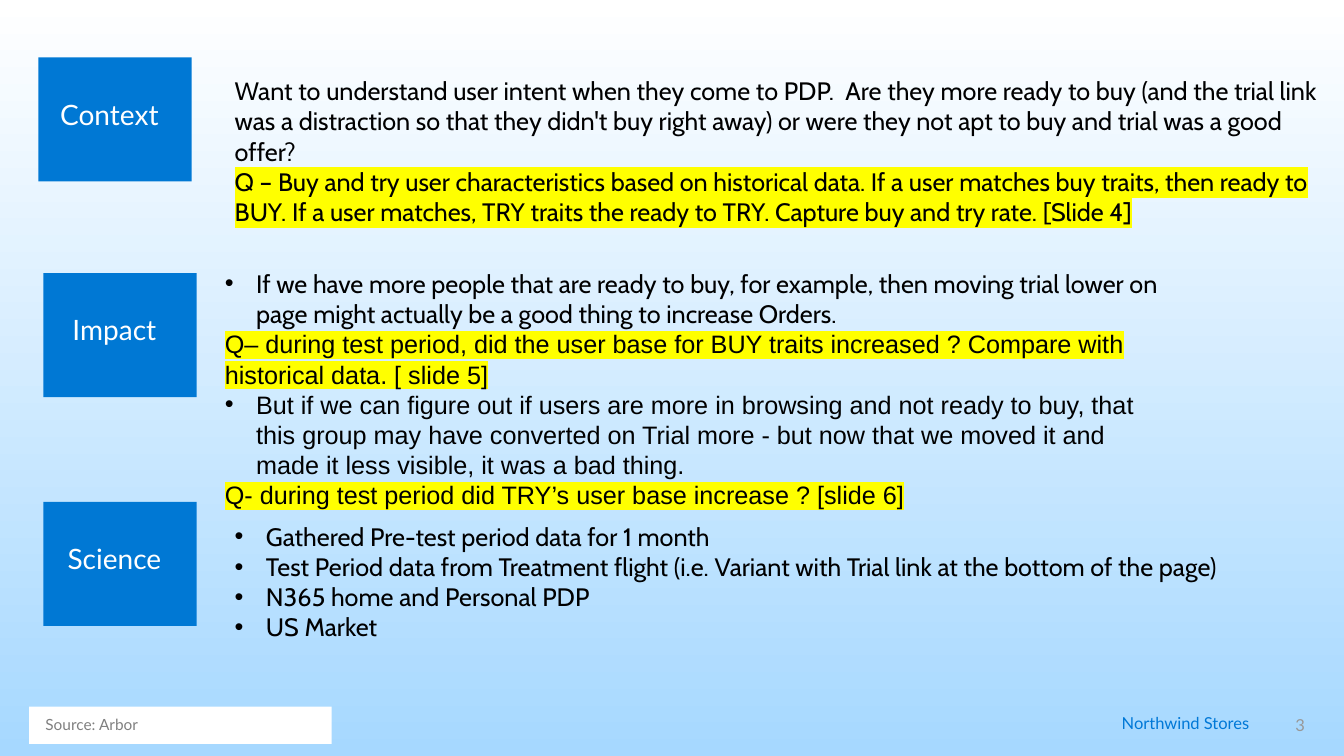
"""Build the Context, Impact and Science slide."""
from dataclasses import dataclass

from lxml import etree
from pptx import Presentation
from pptx.dml.color import RGBColor
from pptx.enum.shapes import MSO_SHAPE
from pptx.enum.text import MSO_ANCHOR, PP_ALIGN
from pptx.oxml.ns import qn
from pptx.util import Inches, Pt

LEFT, CENTER, RIGHT = PP_ALIGN.LEFT, PP_ALIGN.CENTER, PP_ALIGN.RIGHT
TOP, MIDDLE = MSO_ANCHOR.TOP, MSO_ANCHOR.MIDDLE
RECTANGLE = MSO_SHAPE.RECTANGLE


@dataclass(frozen=True)
class Theme:
    tile: str = "0078D4"
    brand: str = "0078D7"
    white: str = "FFFFFF"
    black: str = "000000"
    sky: str = "A6D8FF"
    grey: str = "808080"
    pale_grey: str = "989898"
    marker: str = "FFFF00"
    label_font: str = "Lato"
    body_font: str = "Cabin"
    alternate_font: str = "Arial"
    label_size: float = 20
    body_size: float = 18
    footer_size: float = 11.8
    source_size: float = 11


THEME = Theme()
BULLET, QUESTION = {"bullet": True}, {"highlight": THEME.marker}
ARIAL = {"font": THEME.alternate_font}

TILE_SIZE = (1.52, 1.23)
LABEL_SIZE = (1.61, 0.63)
LABEL_MARGINS = (0.2, 0.16)
LABEL_SHIFT = (-0.1, 0.28)
DEFAULT_MARGINS = (0.1, 0.05)
BULLET_INDENT = 0.31

SECTIONS = [
    {
        "label": "Context", "tile": (0.38, 0.57),
        "body": (2.23, 0.7, 10.97, 2.52), "margins": DEFAULT_MARGINS,
        "lines": [
            ("Want to understand user intent when they come to PDP.  Are they more ready to buy "
             "(and the trial link was a distraction so that they didn't buy right away) or were "
             "they not apt to buy and trial was a good offer?", {}),
            ("Q – Buy and try user characteristics based on historical data. If a user matches "
             "buy traits, then ready to BUY. If a user matches, TRY traits the ready to TRY. "
             "Capture buy and try rate. [Slide 4]", QUESTION),
        ],
    },
    {
        "label": "Impact", "tile": (0.43, 2.71),
        "body": (2.23, 2.66, 9.39, 2.42), "margins": (0, 0),
        "lines": [
            ("If we have more people that are ready to buy, for example, then moving trial lower "
             "on page might actually be a good thing to increase Orders.", BULLET),
            ("Q– during test period, did the user base for BUY traits increased ? Compare with "
             "historical data. [ slide 5]", QUESTION | ARIAL),
            ("But if we can figure out if users are more in browsing and not ready to buy, that "
             "this group may have converted on Trial more - but now that we moved it and made it "
             "less visible, it was a bad thing.", BULLET | ARIAL),
            ("Q- during test period did TRY’s user base increase ? [slide 6]", QUESTION | ARIAL),
        ],
    },
    {
        "label": "Science", "tile": (0.43, 4.98),
        "body": (2.23, 5.12, 10.6, 1.31), "margins": DEFAULT_MARGINS,
        "lines": [
            ("Gathered Pre-test period data for 1 month", BULLET),
            ("Test Period data from Treatment flight (i.e. Variant with Trial link at the bottom "
             "of the page)", BULLET),
            ("N365 home and Personal PDP", BULLET),
            ("US Market", BULLET),
        ],
    },
]
SOURCE = "Source: Arbor"
FOOTER = "Northwind Stores"
PAGE_NUMBER = "3"


def color(value):
    """Turn a hex string into a colour."""
    return RGBColor.from_string(value)


def add_rectangle(page, place, fill):
    """Add a plain filled rectangle."""
    box = page.shapes.add_shape(RECTANGLE, *map(Inches, place))
    box.shadow.inherit = False
    box.fill.solid()
    box.fill.fore_color.rgb = color(fill)
    box.line.fill.background()
    return box


def prepare_frame(box, margins=DEFAULT_MARGINS, anchor=TOP):
    """Set wrapping, margins and anchor of a shape's text."""
    frame = box.text_frame
    frame.word_wrap = True
    frame.vertical_anchor = anchor
    frame.margin_left = frame.margin_right = Inches(margins[0])
    frame.margin_top = frame.margin_bottom = Inches(margins[1])
    return frame


def add_text_box(page, place, **frame_format):
    """Add a text box and return its text frame."""
    return prepare_frame(page.shapes.add_textbox(*map(Inches, place)), **frame_format)


def write(para, text, font=THEME.body_font, size=THEME.body_size, ink=THEME.black,
          align=LEFT, spacing=None, after=None, bullet=False, highlight=None):
    """Write formatted text into a paragraph."""
    para.alignment = align
    if spacing:
        para.line_spacing = spacing
    if after:
        para.space_after = Pt(after)
    if bullet:
        properties = para._p.get_or_add_pPr()
        properties.set("marL", str(Inches(BULLET_INDENT)))
        properties.set("indent", str(-Inches(BULLET_INDENT)))
        etree.SubElement(properties, qn("a:buFont")).set("typeface", THEME.alternate_font)
        etree.SubElement(properties, qn("a:buChar")).set("char", "•")
    span = para.add_run()
    span.text = text
    span.font.size = Pt(size)
    span.font.color.rgb = color(ink)
    if highlight:
        marker = etree.SubElement(span._r.get_or_add_rPr(), qn("a:highlight"))
        etree.SubElement(marker, qn("a:srgbClr")).set("val", highlight)
    span.font.name = font


def add_section(page, section):
    """Add a labelled tile and the text beside it."""
    add_rectangle(page, section["tile"] + TILE_SIZE, THEME.tile)
    left, top = (start + shift for start, shift in zip(section["tile"], LABEL_SHIFT))
    label = add_text_box(page, (left, top) + LABEL_SIZE, margins=LABEL_MARGINS)
    write(label.paragraphs[0], section["label"], font=THEME.label_font, size=THEME.label_size,
          ink=THEME.white, align=CENTER, spacing=0.9, after=6.1)
    body = add_text_box(page, section["body"], margins=section["margins"])
    for index, (text, text_format) in enumerate(section["lines"]):
        para = body.add_paragraph() if index else body.paragraphs[0]
        write(para, text, **text_format)


def add_footer(page):
    """Add the source strip, the footer and the page number."""
    strip = add_rectangle(page, (0.29, 7.01, 3, 0.37), THEME.white)
    source = prepare_frame(strip, margins=(0.16, 0.1), anchor=MIDDLE)
    write(source.paragraphs[0], SOURCE, font=THEME.label_font, size=THEME.source_size,
          ink=THEME.grey, spacing=0.9)
    footer = add_text_box(page, (8.93, 7.1, 3.46, 0.18), margins=(0, 0))
    write(footer.paragraphs[0], FOOTER, font=THEME.label_font, size=THEME.footer_size,
          ink=THEME.brand, align=RIGHT, spacing=0.9, after=5.9)
    number = add_text_box(page, (12.38, 6.99, 0.66, 0.4), anchor=MIDDLE)
    write(number.paragraphs[0], PAGE_NUMBER, font=THEME.label_font, size=THEME.footer_size,
          ink=THEME.pale_grey, align=RIGHT)


def main():
    """Build and save the deck."""
    deck = Presentation()
    deck.slide_width, deck.slide_height = Inches(13.33), Inches(7.5)
    page = deck.slides.add_slide(deck.slide_layouts[6])
    backdrop = page.background.fill
    backdrop.gradient()
    backdrop.gradient_angle = 270
    for stop, shade in zip(backdrop.gradient_stops, (THEME.white, THEME.sky)):
        stop.color.rgb = color(shade)
    for section in SECTIONS:
        add_section(page, section)
    add_footer(page)
    deck.save("out.pptx")


if __name__ == "__main__":
    main()
